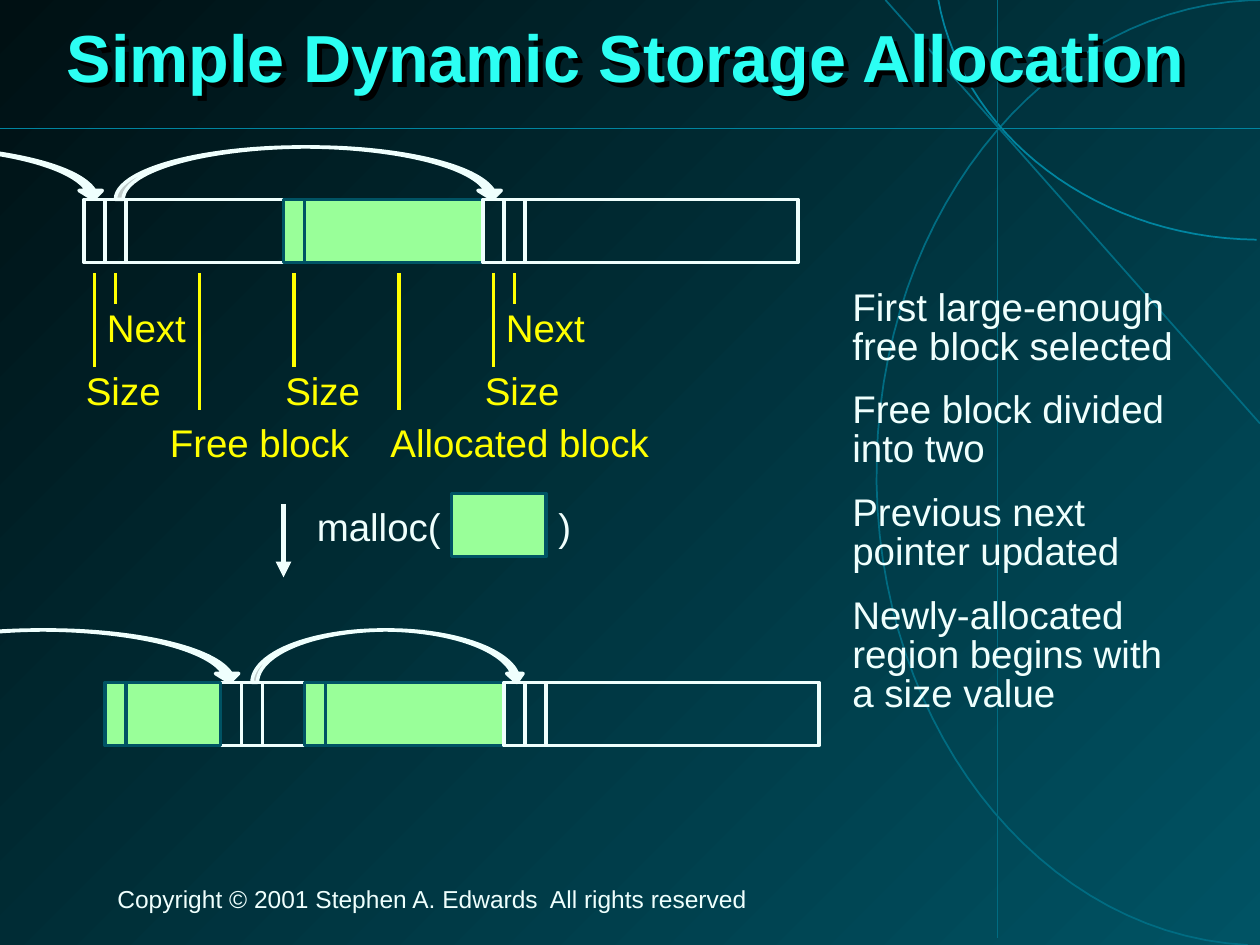
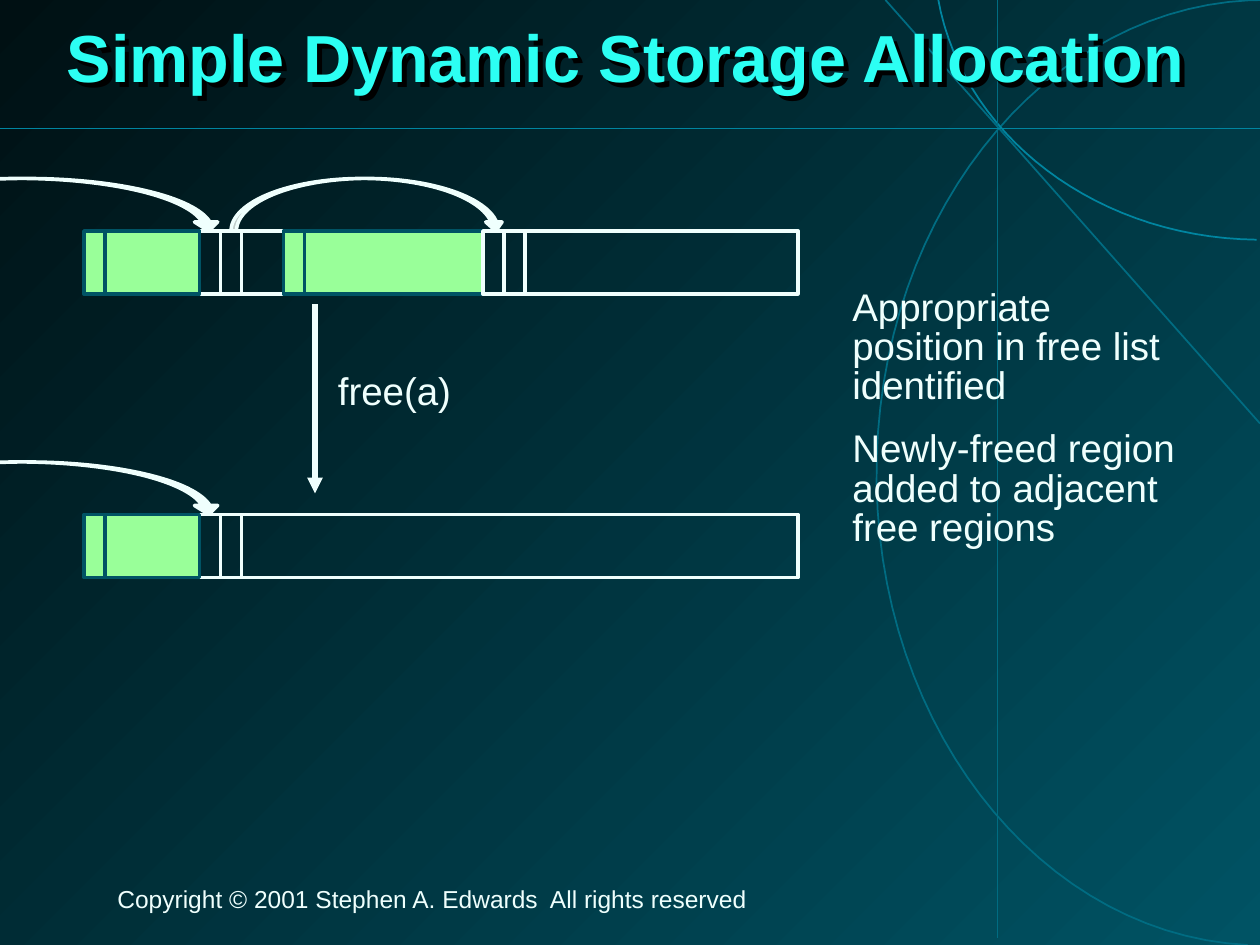
"""Builds two slides on simple dynamic storage allocation."""
from dataclasses import dataclass

from lxml.etree import SubElement
from pptx import Presentation
from pptx.dml.color import RGBColor
from pptx.enum.shapes import MSO_CONNECTOR, MSO_SHAPE
from pptx.enum.text import MSO_ANCHOR, MSO_AUTO_SIZE
from pptx.oxml.ns import qn
from pptx.util import Pt


@dataclass(frozen=True)
class Theme:
    font: str = "Arial"
    ink: str = "EFFFFD"
    title: str = "2CFFF3"
    label: str = "FFFF00"
    allocated: str = "99FF99"
    edge: str = "005364"
    night: str = "001013"
    shadow: str = "000000"
    dim_line: str = "006C82"
    bright_line: str = "0085A0"
    title_size: float = 38
    body_size: float = 22
    footer_size: float = 14
    body_gap: float = 13.8
    footer_gap: float = 8.8


THEME = Theme()
CELL = 12
ROW_HEIGHT = 36
ARC_HEIGHT = 30
TICK_TOP = 156
DIVIDERS = {"free": 2, "allocated": 1}
OVAL = [(713, 540), (592, 534), (497, 410), (501, 262),
        (505, 114), (605, -2), (726, 0)]
CORNER_ARC = [(718, 137), (627, 136), (550, 78), (536, -1)]


def colour(code):
    return RGBColor.from_string(code)


def add_text(page, paragraphs, left, top, width, height=30, *, ink=THEME.ink,
             size=THEME.body_size, gap=THEME.body_gap, spacing=0.85, bold=False):
    box = page.shapes.add_textbox(Pt(left), Pt(top), Pt(width), Pt(height))
    frame = box.text_frame
    frame.word_wrap = True
    frame.auto_size = MSO_AUTO_SIZE.SHAPE_TO_FIT_TEXT
    frame.text = "\n".join(paragraphs)
    for paragraph in frame.paragraphs:
        paragraph.line_spacing = spacing
        paragraph.space_before = Pt(gap)
        for span in paragraph.runs:
            span.font.name = THEME.font
            span.font.size = Pt(size)
            span.font.bold = bold
            span.font.color.rgb = colour(ink)
    return box


def add_line(page, start, end, ink, width=2, arrow=False):
    line = page.shapes.add_connector(
        MSO_CONNECTOR.STRAIGHT, *(Pt(value) for value in (*start, *end)))
    line.line.color.rgb = colour(ink)
    line.line.width = Pt(width)
    properties = line._element.spPr
    if arrow:
        SubElement(properties.find(qn("a:ln")), qn("a:tailEnd"), type="triangle")
    SubElement(properties, qn("a:effectLst"))


def add_shape(page, kind, left, top, width, height, fill, edge):
    shape = page.shapes.add_shape(kind, Pt(left), Pt(top), Pt(width), Pt(height))
    shape.shadow.inherit = False
    if fill:
        shape.fill.solid()
        shape.fill.fore_color.rgb = colour(fill)
    else:
        shape.fill.background()
    shape.line.color.rgb = colour(edge)
    shape.line.width = Pt(2)
    return shape


def curve_points(controls, steps=30):
    """Return points along a chain of cubic curves."""
    points = [controls[0]]
    for first in range(0, len(controls) - 1, 3):
        corners = controls[first:first + 4]
        for step in range(1, steps + 1):
            t = step / steps
            weights = ((1 - t) ** 3, 3 * t * (1 - t) ** 2,
                       3 * t ** 2 * (1 - t), t ** 3)
            points.append(tuple(
                sum(weight * corner[axis] for weight, corner in zip(weights, corners))
                for axis in (0, 1)))
    return points


def add_curve(page, controls, ink):
    points = [(Pt(x), Pt(y)) for x, y in curve_points(controls)]
    builder = page.shapes.build_freeform(*points[0])
    builder.add_line_segments(points[1:], close=False)
    curve = builder.convert_to_shape()
    curve.shadow.inherit = False
    curve.fill.background()
    curve.line.color.rgb = colour(ink)
    curve.line.width = Pt(1)


def add_background(page):
    fill = page.background.fill
    fill.gradient()
    fill.gradient_angle = 135
    for stop, code in zip(fill.gradient_stops, (THEME.edge, THEME.night)):
        stop.color.rgb = colour(code)
    add_curve(page, OVAL, THEME.dim_line)
    add_curve(page, CORNER_ARC, THEME.bright_line)
    add_line(page, (720, 242), (506, 0), THEME.dim_line, 1)
    add_line(page, (570, 0), (570, 536), THEME.dim_line, 1)
    add_line(page, (0, 73.5), (720, 73.5), THEME.bright_line, 1)


def add_title(page, text):
    box = add_text(page, [text], 31, 0, 663, 70.5, ink=THEME.title,
                   size=THEME.title_size, gap=0, spacing=0.87, bold=True)
    box.text_frame.auto_size = MSO_AUTO_SIZE.NONE
    box.text_frame.vertical_anchor = MSO_ANCHOR.MIDDLE
    effects = SubElement(box._element.spPr, qn("a:effectLst"))
    shadow = SubElement(effects, qn("a:outerShdw"), dist=str(Pt(4)), dir="2700000")
    SubElement(shadow, qn("a:srgbClr"), val=THEME.shadow)


def add_page(deck, notes, notes_height):
    page = deck.slides.add_slide(deck.slide_layouts[6])
    add_background(page)
    add_text(page, ["Copyright © 2001 Stephen A. Edwards  All rights reserved"],
             60, 504, 582, 22, size=THEME.footer_size, gap=THEME.footer_gap)
    add_title(page, "Simple Dynamic Storage Allocation")
    add_text(page, notes, 480, 162, 204, notes_height)
    return page


def add_block(page, kind, left, top, width):
    fill, edge = ((THEME.allocated, THEME.edge) if kind == "allocated"
                  else (None, THEME.ink))
    add_shape(page, MSO_SHAPE.RECTANGLE, left, top, width, ROW_HEIGHT, fill, edge)
    for index in range(DIVIDERS[kind]):
        x = left + CELL * (index + 1)
        add_line(page, (x, top), (x, top + ROW_HEIGHT), edge)


def add_next_pointer(page, left, row_top, width):
    arc = add_shape(page, MSO_SHAPE.CURVED_DOWN_ARROW, left, row_top - ARC_HEIGHT,
                    width, ARC_HEIGHT, THEME.ink, THEME.ink)
    ratio = width / ARC_HEIGHT
    for index, value in enumerate((0.02 * ratio, 0.06 * ratio, 0.17)):
        arc.adjustments[index] = value


def add_memory(page, top, blocks, pointers):
    for kind, left, width in blocks:
        add_block(page, kind, left, top, width)
    for left, width in pointers:
        add_next_pointer(page, left, top, width)


def add_label(page, text, tick, tick_end, left, top, width=102):
    add_line(page, (tick, TICK_TOP), (tick, tick_end), THEME.label)
    add_text(page, [text], left, top, width, ink=THEME.label)


def add_malloc_page(deck):
    page = add_page(deck, ["First large-enough free block selected",
                           "Free block divided into two",
                           "Previous next pointer updated",
                           "Newly-allocated region begins with a size value"], 250)
    add_memory(page, 114,
               [("free", 48, 114), ("allocated", 162, 114), ("free", 276, 180)],
               [(66, 222), (-162, 222)])
    for tick in (66, 294):
        add_label(page, "Next", tick, 174, tick - CELL, 174)
    for tick in (54, 168, 282):
        add_label(page, "Size", tick, 210, tick - CELL, 210)
    add_label(page, "Free block", 114, 234, 90, 240, 138)
    add_label(page, "Allocated block", 228, 234, 216, 240, 198)
    add_memory(page, 390,
               [("free", 126, 48), ("allocated", 174, 114), ("free", 288, 180),
                ("allocated", 60, 66)],
               [(144, 156), (-84, 222)])
    add_text(page, ["malloc("], 174, 288, 108)
    add_text(page, [")"], 312, 288, 24)
    add_line(page, (162, 288), (162, 330), THEME.ink, 3, arrow=True)
    add_shape(page, MSO_SHAPE.RECTANGLE, 258, 282, 54, ROW_HEIGHT,
              THEME.allocated, THEME.edge)


def add_free_page(deck):
    page = add_page(deck, ["Appropriate position in free list identified",
                           "Newly-freed region added to adjacent free regions"], 156)
    add_memory(page, 132,
               [("free", 114, 48), ("allocated", 162, 114), ("free", 276, 180),
                ("allocated", 48, 66)],
               [(132, 156), (-96, 222)])
    add_memory(page, 294, [("free", 114, 342), ("allocated", 48, 66)], [(-96, 222)])
    add_text(page, ["free(a)"], 186, 210, 108)
    add_line(page, (180, 174), (180, 282), THEME.ink, 3, arrow=True)


def main():
    deck = Presentation()
    deck.slide_width, deck.slide_height = Pt(720), Pt(540)
    add_malloc_page(deck)
    add_free_page(deck)
    deck.save("out.pptx")


if __name__ == "__main__":
    main()
